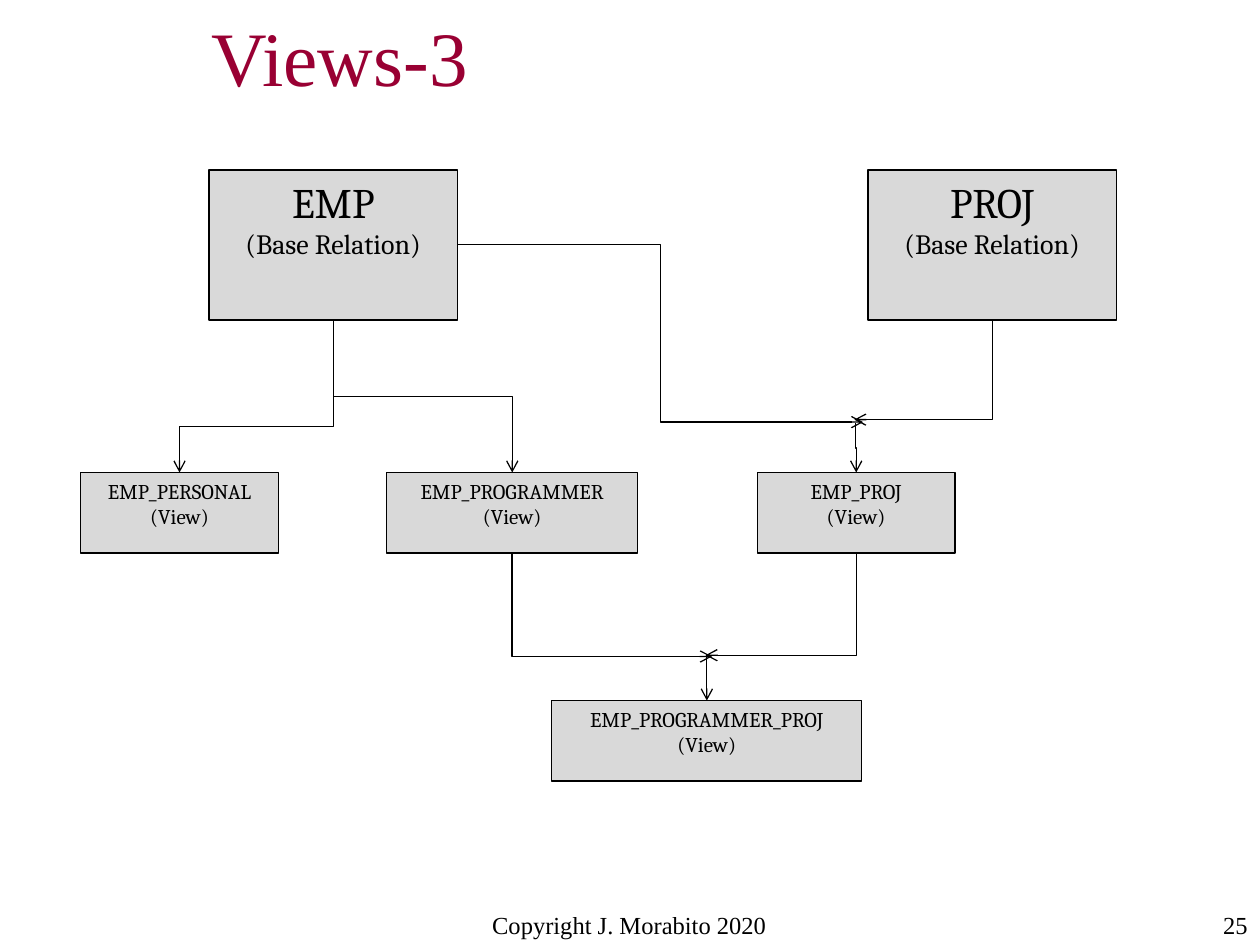
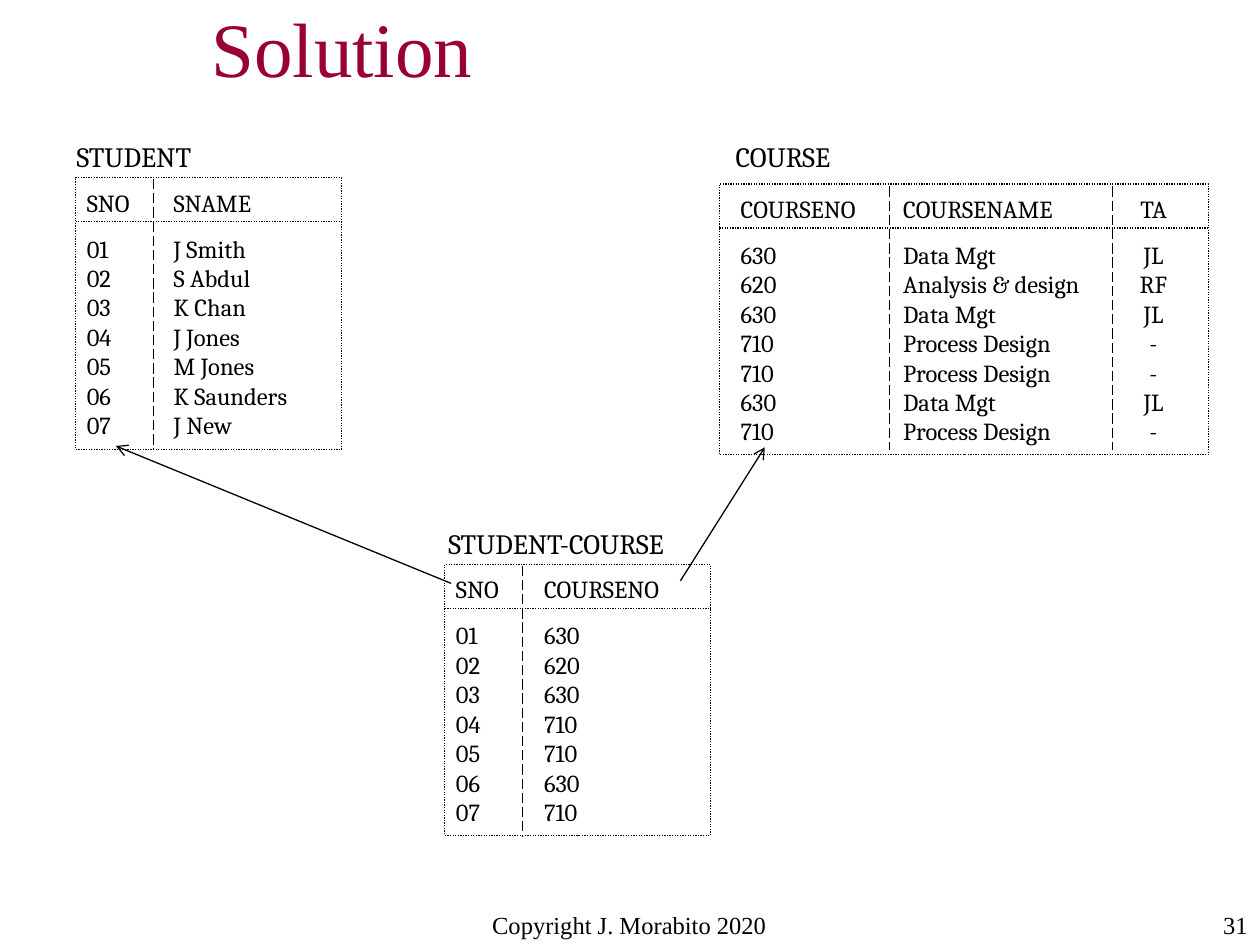
from lxml import etree
from pptx import Presentation
from pptx import util as u
from pptx.dml.color import RGBColor
from pptx.enum import dml, shapes, text
from pptx.oxml import ns

COLORS = {"title": "990033", "ink": "000000", "node": "D9D9D9"}
SERIF, BODY = "Times New Roman", "Cambria"
LEFT, CENTER, RIGHT = text.PP_ALIGN.LEFT, text.PP_ALIGN.CENTER, text.PP_ALIGN.RIGHT
DOTTED, DASHED = dml.MSO_LINE.ROUND_DOT, dml.MSO_LINE.LONG_DASH
STUDENT_NUMBERS = ["01", "02", "03", "04", "05", "06", "07"]
COURSE_NUMBERS = ["630", "620", "630", "710", "710", "630", "710"]


def inches(*lengths):
    """Turn plain numbers into inch lengths."""
    return [u.Inches(length) for length in lengths]


def rgb(name):
    """Look up a named colour."""
    return RGBColor.from_string(COLORS[name])


def write(frame, lines, sizes, font=BODY, color="ink", align=LEFT,
          anchor=text.MSO_ANCHOR.TOP, wrap=True, header_gap=0):
    """Fill a text frame with one paragraph per line; the last size repeats."""
    frame.word_wrap = wrap
    frame.vertical_anchor = anchor
    frame.auto_size = text.MSO_AUTO_SIZE.NONE if wrap else text.MSO_AUTO_SIZE.SHAPE_TO_FIT_TEXT
    for index, line in enumerate(lines):
        paragraph = frame.paragraphs[0] if index == 0 else frame.add_paragraph()
        paragraph.text = line
        paragraph.alignment = align
        if index == 1 and header_gap:
            paragraph.space_before = u.Pt(header_gap)
        paragraph.font.size = u.Pt(sizes[min(index, len(sizes) - 1)])
        paragraph.font.name = font
        paragraph.font.color.rgb = rgb(color)


def add_text(parent, box, lines, sizes, **style):
    """Add a text box with formatted lines."""
    write(parent.add_textbox(*inches(*box)).text_frame, lines, sizes, **style)


def add_box(parent, box, fill=None, dash=None):
    """Add a thinly outlined rectangle."""
    rectangle = parent.add_shape(shapes.MSO_SHAPE.RECTANGLE, *inches(*box))
    rectangle.shadow.inherit = False
    if fill:
        rectangle.fill.solid()
        rectangle.fill.fore_color.rgb = rgb(fill)
    else:
        rectangle.fill.background()
    rectangle.line.color.rgb = rgb("ink")
    rectangle.line.width = u.Pt(0.75)
    if dash:
        rectangle.line.dash_style = dash
    return rectangle


def add_line(parent, start, end, kind=shapes.MSO_CONNECTOR.STRAIGHT, dash=None, arrow=False):
    """Add a thin connector, dashed or with an arrowhead on request."""
    link = parent.add_connector(kind, *inches(*start, *end))
    link.line.color.rgb = rgb("ink")
    link.line.width = u.Pt(0.75)
    if dash:
        link.line.dash_style = dash
    if arrow:
        etree.SubElement(link.line._get_or_add_ln(), ns.qn("a:tailEnd"), type="arrow")
    etree.SubElement(link._element.spPr, ns.qn("a:effectLst"))
    return link


def add_descent(parent, start, end, bend=0.5, corner=False):
    """Add an elbow arrow that leaves its start downwards."""
    (x1, y1), (x2, y2) = start, end
    middle_x, middle_y = (x1 + x2) / 2, (y1 + y2) / 2
    turn = 1 if x2 > x1 else -1
    reach, drop = abs(x2 - x1) / 2, turn * (y2 - y1) / 2
    link = add_line(parent, (middle_x + drop, middle_y - reach),
                    (middle_x - drop, middle_y + reach),
                    kind=shapes.MSO_CONNECTOR.ELBOW, arrow=True)
    properties = link._element.spPr
    properties.find(ns.qn("a:xfrm")).set("rot", str((270 if turn > 0 else 90) * 60000))
    geometry = properties.find(ns.qn("a:prstGeom"))
    if corner:
        geometry.set("prst", "bentConnector2")
    elif bend != 0.5:
        guides = geometry.find(ns.qn("a:avLst"))
        etree.SubElement(guides, ns.qn("a:gd"), name="adj1", fmla=f"val {round(bend * 100000)}")


def add_page(deck, title, number, title_height):
    """Add a slide with its title, copyright line and page number."""
    slide = deck.slides.add_slide(deck.slide_layouts[6])
    parent = slide.shapes
    add_text(parent, (1.58, 0.08, 8.42, title_height), [title], [44], font=SERIF,
             color="title", anchor=text.MSO_ANCHOR.MIDDLE)
    add_text(parent, (3.41, 7.17, 3.17, 0.25), ["Copyright J. Morabito 2020"], [14],
             font=SERIF, align=CENTER)
    add_text(parent, (8.58, 7.17, 1.42, 0.33), [number], [14], font=SERIF, align=RIGHT)
    return parent


def add_view_diagram(parent, left, top):
    """Draw base relations, the views derived from them and their arrows."""
    base, view = ("(Base Relation)", [24, 16], 1.19), ("(View)", [12], 0.64)
    nodes = {
        "EMP": (1.02, 0, 1.97, base),
        "PROJ": (6.25, 0, 1.97, base),
        "EMP_PERSONAL": (0, 2.4, 1.57, view),
        "EMP_PROGRAMMER": (2.43, 2.4, 1.99, view),
        "EMP_PROJ": (5.37, 2.4, 1.57, view),
        "EMP_PROGRAMMER_PROJ": (3.74, 4.21, 2.46, view),
    }
    tops, bottoms = {}, {}
    for name, (x, y, width, (role, sizes, height)) in nodes.items():
        node = add_box(parent, (left + x, top + y, width, height), fill="node")
        write(node.text_frame, [name, role], sizes, align=CENTER)
        center = left + x + width / 2
        tops[name], bottoms[name] = (center, top + y), (center, top + y + height)

    def at(x, y):
        return left + x, top + y

    add_descent(parent, bottoms["EMP"], tops["EMP_PERSONAL"], bend=0.7)
    add_descent(parent, bottoms["EMP"], tops["EMP_PROGRAMMER"])
    add_line(parent, at(2.99, 0.59), at(6.21, 2), kind=shapes.MSO_CONNECTOR.ELBOW, arrow=True)
    add_descent(parent, bottoms["PROJ"], at(6.14, 1.98), corner=True)
    add_descent(parent, at(6.15, 2.01), tops["EMP_PROJ"])
    add_descent(parent, bottoms["EMP_PROGRAMMER"], at(5.01, 3.86), corner=True)
    add_descent(parent, bottoms["EMP_PROJ"], at(4.96, 3.85), corner=True)
    add_line(parent, at(4.97, 3.84), tops["EMP_PROGRAMMER_PROJ"], arrow=True)


def add_relation(parent, box, name, name_box, columns, dividers, divider_span=(0.01, 2.16)):
    """Draw a named relation as dotted frame, header rule and text columns."""
    left, top, width, _ = box
    group = parent.add_group_shape().shapes
    add_box(group, box, dash=DOTTED)
    x, y, name_width = name_box
    add_text(group, (left + x, top + y, name_width, 0.37), [name], [16], wrap=False)
    for x, column_width, align, header, values in columns:
        add_text(group, (left + x, top + 0.03, column_width, 2.1), [header, *values], [14],
                 align=align, wrap=False, header_gap=9.5)
    for x in dividers:
        start, end = divider_span
        add_line(group, (left + x, top + start), (left + x, top + end), dash=DASHED)
    add_line(group, (left, top + 0.35), (left + width, top + 0.35), dash=DOTTED)


def build_views(deck):
    """Build the slide on views."""
    add_view_diagram(add_page(deck, "Views-3", "25", 0.72), 0.64, 1.35)


def build_solution(deck):
    """Build the slide with the three related relations."""
    parent = add_page(deck, "Solution", "31", 0.58)
    numbers = (-0.01, 0.61, LEFT, "SNO", STUDENT_NUMBERS)
    students = ["J Smith", "S Abdul", "K Chan", "J Jones", "M Jones", "K Saunders", "J New"]
    courses = ["Data Mgt", "Analysis & design", "Data Mgt", "Process Design",
               "Process Design", "Data Mgt", "Process Design"]
    assistants = ["JL", "RF", "JL", "-", "-", "JL", "-"]
    add_relation(parent, (0.6, 1.41, 2.11, 2.16), "STUDENT", (-0.09, -0.35, 1.18),
                 [numbers, (0.68, 1.23, LEFT, "SNAME", students)], [0.62])
    add_relation(parent, (5.71, 1.46, 3.88, 2.15), "COURSE", (0.03, -0.4, 1.06),
                 [(0.07, 1.25, LEFT, "COURSENO", COURSE_NUMBERS),
                  (1.36, 1.8, LEFT, "COURSENAME", courses),
                  (3.23, 0.43, CENTER, "TA", assistants)],
                 [1.35, 3.12], divider_span=(0.02, 2.11))
    add_relation(parent, (3.53, 4.48, 2.11, 2.15), "STUDENT-COURSE", (-0.07, -0.35, 2.11),
                 [numbers, (0.69, 1.25, LEFT, "COURSENO", COURSE_NUMBERS)], [0.62])
    add_line(parent, (3.58, 4.63), (0.92, 3.54), arrow=True)
    add_line(parent, (5.4, 4.61), (6.07, 3.55), arrow=True)


def main():
    """Build and save the deck."""
    deck = Presentation()
    deck.slide_width, deck.slide_height = inches(10, 7.5)
    build_views(deck)
    build_solution(deck)
    deck.save("out.pptx")


if __name__ == "__main__":
    main()
